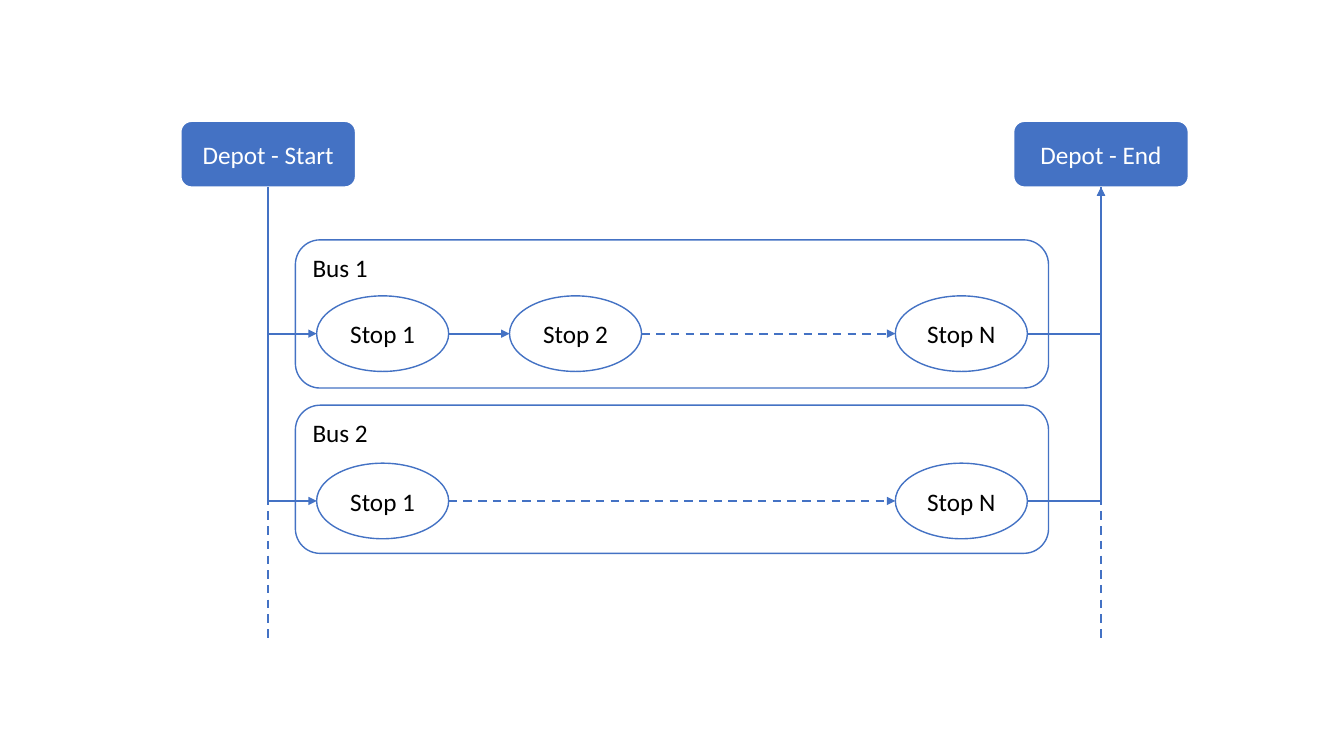
import dataclasses
import pptx
import pptx.dml.color
import pptx.enum.dml
import pptx.enum.shapes
import pptx.enum.text
import pptx.oxml.ns
import pptx.oxml.xmlchemy
import pptx.util

Inches = pptx.util.Inches
KIND = pptx.enum.shapes.MSO_SHAPE
LINK = pptx.enum.shapes.MSO_CONNECTOR
ALIGN = pptx.enum.text.PP_ALIGN
ANCHOR = pptx.enum.text.MSO_ANCHOR
BLUE, WHITE, BLACK = "4472C4", "FFFFFF", "000000"

DEPOT_TOP, DEPOT_WIDE, DEPOT_HIGH = 1.2, 1.74, 0.66
DEPOT_BASE = DEPOT_TOP + DEPOT_HIGH
START_X, END_X = 2.66, 10.92
DASH_END = 6.35
BUS_LEFT, BUS_WIDE, BUS_HIGH = 2.93, 7.47, 1.47
STOP_WIDE, STOP_HIGH = 1.31, 0.75
FIRST, LAST = 3.14, 8.88
PITCH = (LAST - FIRST) / 3


@dataclasses.dataclass
class Depot:
    name: str
    mid: float


@dataclasses.dataclass
class Stop:
    name: str
    slot: int

    @property
    def left(self) -> float:
        return FIRST + self.slot * PITCH


@dataclasses.dataclass
class Bus:
    name: str
    top: float
    mid: float
    stops: list[Stop]


DEPOTS = [Depot("Depot - Start", START_X), Depot("Depot - End", END_X)]
BUSES = [
    Bus("Bus 1", 2.38, 3.31, [Stop("Stop 1", 0), Stop("Stop 2", 1), Stop("Stop N", 3)]),
    Bus("Bus 2", 4.02, 4.97, [Stop("Stop 1", 0), Stop("Stop N", 3)]),
]


def color(code: str):
    return pptx.dml.color.RGBColor.from_string(code)


def add_box(slide, kind, text: str, left: float, top: float, wide: float, high: float,
            fill: str | None, edge: str, ink: str, weight: float = 1,
            align=ALIGN.CENTER, anchor=ANCHOR.MIDDLE):
    box = slide.shapes.add_shape(kind, Inches(left), Inches(top), Inches(wide), Inches(high))
    box.shadow.inherit = False
    if fill:
        box.fill.solid()
        box.fill.fore_color.rgb = color(fill)
    else:
        box.fill.background()
    box.line.color.rgb = color(edge)
    box.line.width = pptx.util.Pt(weight)
    frame = box.text_frame
    frame.text = text
    frame.vertical_anchor = anchor
    para = frame.paragraphs[0]
    para.alignment = align
    font = para.runs[0].font
    font.name = "Calibri"
    font.size = pptx.util.Pt(18)
    font.color.rgb = color(ink)
    return box


def add_line(slide, x1: float, y1: float, x2: float, y2: float,
             dash: bool = False, arrow: bool = True, kind=LINK.STRAIGHT):
    line = slide.shapes.add_connector(kind, Inches(x1), Inches(y1), Inches(x2), Inches(y2))
    line.line.color.rgb = color(BLUE)
    line.line.width = pptx.util.Pt(1.5)
    if dash:
        line.line.dash_style = pptx.enum.dml.MSO_LINE.DASH
    if arrow:
        tail = pptx.oxml.xmlchemy.OxmlElement("a:tailEnd")
        tail.set("type", "triangle")
        line.get_or_add_ln().append(tail)
    line._element.spPr.append(pptx.oxml.xmlchemy.OxmlElement("a:effectLst"))
    return line


def add_bend(slide, x1: float, y1: float, x2: float, y2: float):
    bend = add_line(slide, x1, y1, x2, y2, kind=LINK.ELBOW)
    bend._element.spPr.find(pptx.oxml.ns.qn("a:prstGeom")).set("prst", "bentConnector2")
    return bend


def add_drop(slide, x1: float, y1: float, x2: float, y2: float):
    mid_x, mid_y = (x1 + x2) / 2, (y1 + y2) / 2
    half_x, half_y = (x2 - x1) / 2, (y2 - y1) / 2
    drop = add_bend(slide, mid_x + half_y, mid_y - half_x, mid_x - half_y, mid_y + half_x)
    drop._element.spPr.find(pptx.oxml.ns.qn("a:xfrm")).set("rot", str(270 * 60000))


def add_bus(slide, bus: Bus):
    for stop in bus.stops:
        add_box(slide, KIND.OVAL, stop.name, stop.left, bus.mid - STOP_HIGH / 2,
                STOP_WIDE, STOP_HIGH, WHITE, BLUE, BLACK)
    add_box(slide, KIND.ROUNDED_RECTANGLE, bus.name, BUS_LEFT, bus.top, BUS_WIDE, BUS_HIGH,
            None, BLUE, BLACK, align=ALIGN.LEFT, anchor=ANCHOR.TOP)
    add_drop(slide, START_X, DEPOT_BASE, FIRST, bus.mid)
    for here, there in zip(bus.stops, bus.stops[1:]):
        add_line(slide, here.left + STOP_WIDE, bus.mid, there.left, bus.mid,
                 dash=there.slot - here.slot > 1)
    add_bend(slide, LAST + STOP_WIDE, bus.mid, END_X, DEPOT_BASE)


def main():
    deck = pptx.Presentation()
    deck.slide_width, deck.slide_height = Inches(13.33), Inches(7.5)
    slide = deck.slides.add_slide(deck.slide_layouts[6])
    boxes = [
        add_box(slide, KIND.ROUNDED_RECTANGLE, depot.name, depot.mid - DEPOT_WIDE / 2,
                DEPOT_TOP, DEPOT_WIDE, DEPOT_HIGH, BLUE, WHITE, WHITE, 1.5)
        for depot in DEPOTS
    ]
    for bus in BUSES:
        add_bus(slide, bus)
    for depot, box in zip(DEPOTS, boxes):
        line = add_line(slide, depot.mid, DEPOT_BASE, depot.mid, DASH_END, dash=True, arrow=False)
        line.begin_connect(box, 2)
    deck.save("out.pptx")


if __name__ == "__main__":
    main()
